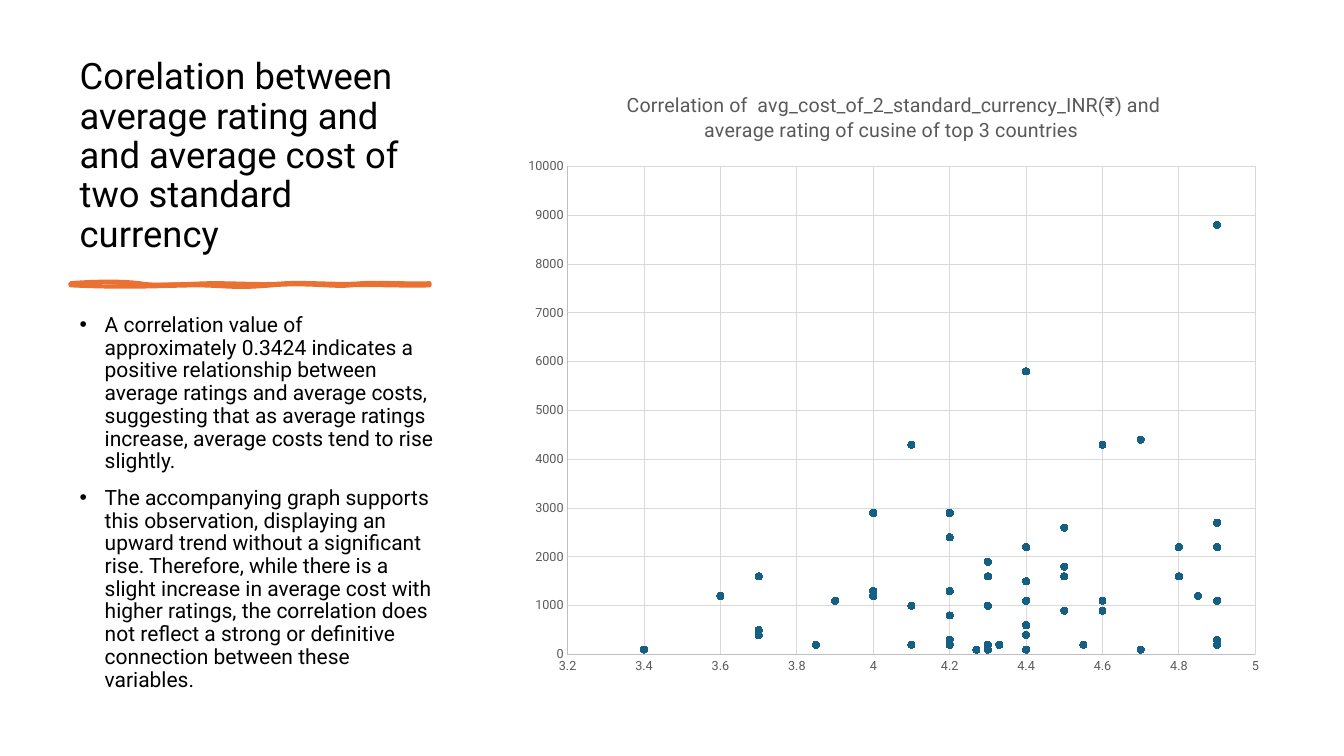
from dataclasses import dataclass
from typing import NamedTuple

from lxml.etree import SubElement
from pptx import Presentation
from pptx.chart.axis import ValueAxis
from pptx.chart.chart import Chart
from pptx.chart.data import XyChartData
from pptx.dml.color import RGBColor
from pptx.enum.chart import XL_CHART_TYPE, XL_MARKER_STYLE, XL_TICK_LABEL_POSITION, XL_TICK_MARK
from pptx.enum.text import MSO_ANCHOR, MSO_AUTO_SIZE, PP_ALIGN
from pptx.oxml.ns import qn
from pptx.slide import Slide
from pptx.text.text import Font, TextFrame
from pptx.util import Inches, Pt

FONT = "Roboto"
COLORS = {
    "text": "000000",
    "muted": "595959",
    "axis": "BFBFBF",
    "grid": "D9D9D9",
    "accent": "E97132",
    "marker": "156082",
}
TITLE = "Corelation between average rating and and average cost of two standard currency"
CHART_TITLE = (
    "Correlation of  avg_cost_of_2_standard_currency_INR(₹) and "
    "average rating of cusine of top 3 countries "
)
FINDINGS = [
    "A correlation value of approximately 0.3424 indicates a positive relationship between "
    "average ratings and average costs, suggesting that as average ratings increase, "
    "average costs tend to rise slightly.",
    "The accompanying graph supports this observation, displaying an upward trend without a "
    "significant rise. Therefore, while there is a slight increase in average cost with higher "
    "ratings, the correlation does not reflect a strong or definitive connection between these "
    "variables.",
]
COSTS_AND_RATINGS = [
    (4300, 4.6), (600, 4.4), (800, 4.2), (400, 3.7), (900, 4.6), (1600, 4.3),
    (1100, 4.6), (1900, 4.3), (1600, 3.7), (4300, 4.1), (2400, 4.2), (1100, 4.4),
    (1100, 3.9), (1300, 4), (500, 3.7), (1100, 4.9), (2700, 4.9), (1300, 4.2),
    (2600, 4.5), (1300, 4.2), (2900, 4), (1200, 3.6), (2200, 4.4), (900, 4.5),
    (1500, 4.4), (8800, 4.9), (1600, 4.5), (1200, 4.85), (1600, 4.8), (1200, 4),
    (1800, 4.5), (2200, 4.8), (2200, 4.9), (1000, 4.3), (4400, 4.7), (5800, 4.4),
    (2900, 4.2), (300, 4.9), (200, 4.3), (100, 4.27), (100, 4.3), (100, 4.7),
    (100, 4.7), (400, 3.7), (200, 4.55), (200, 4.33), (100, 4.4), (200, 4.3),
    (100, 4.4), (100, 3.4), (100, 4.7), (200, 3.85), (200, 4.2), (200, 4.2),
    (1000, 4.1), (200, 4.1), (100, 4.3), (200, 4.9), (400, 4.4), (300, 4.2),
]


class Point(NamedTuple):
    x: float
    y: float


@dataclass
class AxisScale:
    low: float
    high: float
    step: float


@dataclass
class BrushPath:
    hidden_part: dict[str, str]
    curves: list[tuple[float, ...]]


STROKE_START = Point(0.7, 2.81)
STROKE_END = Point(4.26, 2.83)
BRUSH_PATHS = [
    BrushPath({"fill": "none"}, [
        (0.97, 2.79, 1.21, 2.79, 1.38, 2.81), (1.55, 2.84, 1.77, 2.82, 2.09, 2.81),
        (2.41, 2.81, 2.6, 2.83, 2.84, 2.81), (3.08, 2.8, 3.39, 2.83, 3.59, 2.81),
        (3.79, 2.8, 4.12, 2.82, 4.26, 2.81), (4.26, 2.82, 4.26, 2.83, 4.26, 2.83),
        (4.08, 2.84, 3.64, 2.82, 3.48, 2.83), (3.32, 2.85, 3.04, 2.8, 2.7, 2.83),
        (2.35, 2.86, 2.31, 2.84, 1.99, 2.83), (1.66, 2.83, 1.32, 2.86, 0.7, 2.83),
        (0.7, 2.83, 0.7, 2.82, 0.7, 2.81),
    ]),
    BrushPath({"stroke": "0"}, [
        (1.02, 2.84, 1.1, 2.82, 1.38, 2.81), (1.66, 2.81, 1.69, 2.79, 1.99, 2.81),
        (2.28, 2.84, 2.61, 2.83, 2.77, 2.81), (2.93, 2.8, 3.27, 2.84, 3.44, 2.81),
        (3.62, 2.79, 3.97, 2.85, 4.26, 2.81), (4.26, 2.82, 4.26, 2.83, 4.26, 2.83),
        (4.12, 2.83, 3.72, 2.86, 3.55, 2.83), (3.38, 2.81, 3.09, 2.84, 2.77, 2.83),
        (2.44, 2.83, 2.4, 2.82, 2.16, 2.83), (1.93, 2.85, 1.79, 2.83, 1.45, 2.83),
        (1.11, 2.84, 0.92, 2.83, 0.7, 2.83), (0.7, 2.83, 0.7, 2.82, 0.7, 2.81),
    ]),
]


def color(name: str) -> RGBColor:
    return RGBColor.from_string(COLORS[name])


def style_font(font: Font, size: float, color_name: str) -> None:
    font.name = FONT
    font.size = Pt(size)
    font.bold = False
    font.color.rgb = color(color_name)


def write_paragraphs(frame: TextFrame, texts: list[str], size: float) -> None:
    frame.word_wrap = True
    frame.auto_size = MSO_AUTO_SIZE.NONE
    for index, text in enumerate(texts):
        para = frame.paragraphs[0] if index == 0 else frame.add_paragraph()
        para.alignment = PP_ALIGN.LEFT
        para.line_spacing = 0.9
        span = para.add_run()
        span.text = text
        style_font(span.font, size, "text")


def add_title(page: Slide) -> None:
    title = page.shapes.title
    title.left, title.top = Inches(0.69), Inches(0.7)
    title.width, title.height = Inches(3.75), Inches(1.88)
    title.text_frame.vertical_anchor = MSO_ANCHOR.BOTTOM
    write_paragraphs(title.text_frame, [TITLE], 26)


def add_findings(page: Slide) -> None:
    box = page.shapes.add_textbox(Inches(0.69), Inches(3.07), Inches(3.75), Inches(3.73))
    write_paragraphs(box.text_frame, FINDINGS, 15)
    for para in box.text_frame.paragraphs:
        para.space_before = Pt(10)
        properties = para._p.get_or_add_pPr()
        properties.set("marL", str(Inches(0.25)))
        properties.set("indent", str(Inches(-0.25)))
        SubElement(properties, qn("a:buFont"), typeface="Arial")
        SubElement(properties, qn("a:buChar"), char="•")


def add_brush_stroke(page: Slide) -> None:
    left, top, right, bottom = (Inches(value) for value in (*STROKE_START, *STROKE_END))
    builder = page.shapes.build_freeform(left, top)
    builder.add_line_segments([(right, top), (right, bottom), (left, bottom)])
    stroke = builder.convert_to_shape()
    outlines = stroke._element.spPr.find(qn("a:custGeom")).find(qn("a:pathLst"))
    outlines.clear()
    size = {"w": str(right - left), "h": str(bottom - top)}
    for brush in BRUSH_PATHS:
        outline = SubElement(outlines, qn("a:path"), {**size, **brush.hidden_part})
        SubElement(SubElement(outline, qn("a:moveTo")), qn("a:pt"), x="0", y="0")
        for curve in brush.curves:
            segment = SubElement(outline, qn("a:cubicBezTo"))
            for x, y in zip(curve[::2], curve[1::2]):
                SubElement(segment, qn("a:pt"), x=str(Inches(x) - left), y=str(Inches(y) - top))
        SubElement(outline, qn("a:close"))
    stroke.shadow.inherit = False
    stroke.fill.solid()
    stroke.fill.fore_color.rgb = color("accent")
    stroke.line.color.rgb = color("accent")
    stroke.line.width = Pt(3)


def style_axis(axis: ValueAxis, scale: AxisScale) -> None:
    axis.minimum_scale, axis.maximum_scale = scale.low, scale.high
    axis.major_unit = scale.step
    axis.major_tick_mark = axis.minor_tick_mark = XL_TICK_MARK.NONE
    axis.tick_label_position = XL_TICK_LABEL_POSITION.NEXT_TO_AXIS
    axis.tick_labels.number_format = "General"
    axis.tick_labels.number_format_is_linked = False
    style_font(axis.tick_labels.font, 9, "muted")
    axis.has_major_gridlines = True
    for line, name in ((axis.format.line, "axis"), (axis.major_gridlines.format.line, "grid")):
        line.color.rgb = color(name)
        line.width = Pt(0.75)


def place_plot(chart: Chart) -> None:
    plot_area = chart._chartSpace.chart.plotArea
    for layout in plot_area.findall(qn("c:layout")):
        plot_area.remove(layout)
    layout = plot_area.makeelement(qn("c:layout"))
    plot_area.insert(0, layout)
    manual = SubElement(layout, qn("c:manualLayout"))
    settings = {"layoutTarget": "inner", "xMode": "edge", "yMode": "edge",
                "x": "0.0715", "y": "0.156", "w": "0.9035", "h": "0.794"}
    for tag, value in settings.items():
        SubElement(manual, qn(f"c:{tag}"), val=value)


def add_scatter(page: Slide) -> None:
    data = XyChartData()
    ratings = data.add_series("Series 1")
    for cost, rating in COSTS_AND_RATINGS:
        ratings.add_data_point(rating, cost)
    chart = page.shapes.add_chart(
        XL_CHART_TYPE.XY_SCATTER, Inches(5.09), Inches(0.7), Inches(7.55), Inches(6.1), data
    ).chart
    style_font(chart.font, 10, "text")
    chart.has_legend = False
    chart.has_title = True
    span = chart.chart_title.text_frame.paragraphs[0].add_run()
    span.text = CHART_TITLE
    style_font(span.font, 14, "muted")
    chart.chart_title.include_in_layout = False
    style_axis(chart.category_axis, AxisScale(3.2, 5, 0.2))
    style_axis(chart.value_axis, AxisScale(0, 10000, 1000))
    place_plot(chart)
    plot = chart.plots[0]
    plot.vary_by_categories = False
    series = plot.series[0]
    series.smooth = False
    series.format.line.fill.background()
    series.marker.style = XL_MARKER_STYLE.CIRCLE
    series.marker.size = 5
    series.marker.format.fill.solid()
    series.marker.format.fill.fore_color.rgb = color("marker")
    series.marker.format.line.color.rgb = color("marker")


def main() -> None:
    deck = Presentation()
    deck.slide_width, deck.slide_height = Inches(13.33), Inches(7.5)
    page = deck.slides.add_slide(deck.slide_layouts[5])
    add_title(page)
    add_brush_stroke(page)
    add_findings(page)
    add_scatter(page)
    deck.save("out.pptx")


if __name__ == "__main__":
    main()
